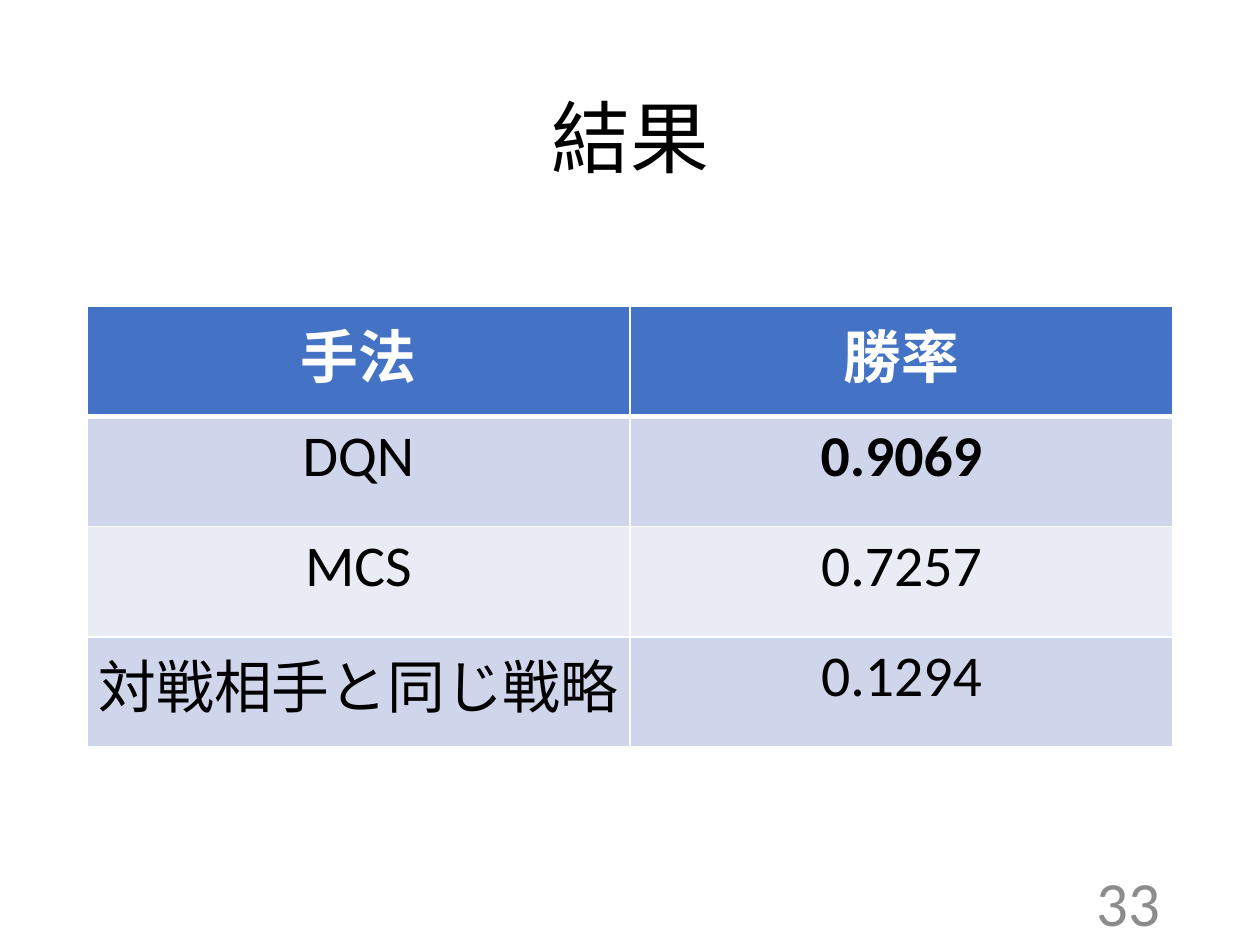
from dataclasses import dataclass

from lxml import etree
from pptx import Presentation
from pptx.dml.color import RGBColor
from pptx.enum.text import MSO_ANCHOR, PP_ALIGN
from pptx.oxml.ns import qn
from pptx.util import Inches, Pt


@dataclass(frozen=True)
class Theme:
    font: str = "Calibri"
    ink: str = "000000"
    white: str = "FFFFFF"
    gray: str = "8C8C8C"
    header: str = "4472C4"
    bands: tuple = ("CFD5EA", "E9EBF5")
    title_size: int = 45
    table_size: int = 33
    number_size: int = 36


T = Theme()


def write(tf, text, size, color, align, bold=False):
    p = tf.paragraphs[0]
    p.alignment = align
    r = p.add_run()
    r.text = text
    r.font.name = T.font
    r.font.size = Pt(size)
    r.font.bold = bold
    r.font.color.rgb = RGBColor.from_string(color)
    return p


def set_border(cell, side, width):
    tc_pr = cell._tc.get_or_add_tcPr()
    ln = etree.SubElement(tc_pr, qn(f"a:ln{side}"), w=str(Pt(width)))
    fill = etree.SubElement(ln, qn("a:solidFill"))
    etree.SubElement(fill, qn("a:srgbClr"), val=T.white)


prs = Presentation()
prs.slide_width, prs.slide_height = Inches(10), Inches(7.5)
s = prs.slides.add_slide(prs.slide_layouts[6])
left, width = 0.69, 8.62

# Title
tf = s.shapes.add_textbox(Inches(left), Inches(0.4), Inches(width), Inches(1.45)).text_frame
tf.word_wrap = True
tf.vertical_anchor = MSO_ANCHOR.MIDDLE
p = write(tf, "結果", T.title_size, T.ink, PP_ALIGN.CENTER)
p.line_spacing = 0.9

# Results table
rows = [
    ("手法", "勝率"),
    ("DQN", "0.9069"),
    ("MCS", "0.7257"),
    ("対戦相手と同じ戦略", "0.1294"),
]
best = "0.9069"
table = s.shapes.add_table(len(rows), 2, Inches(left), Inches(2.43),
                           Inches(width), Inches(3.5)).table
for i, row in enumerate(rows):
    is_header = i == 0
    for j, text in enumerate(row):
        cell = table.cell(i, j)
        cell.margin_left = cell.margin_right = Inches(0.07)
        cell.margin_top = cell.margin_bottom = Inches(0.04)
        write(cell.text_frame, text, T.table_size, T.white if is_header else T.ink,
              PP_ALIGN.CENTER, bold=is_header or text == best)
        # The rule between header and body is thicker
        for side in "LRTB":
            set_border(cell, side, 3 if (i, side) in ((0, "B"), (1, "T")) else 1)
        cell.fill.solid()
        fill = T.header if is_header else T.bands[(i - 1) % 2]
        cell.fill.fore_color.rgb = RGBColor.from_string(fill)

# Page number
tf = s.shapes.add_textbox(Inches(7.06), Inches(6.95), Inches(2.25), Inches(0.4)).text_frame
tf.word_wrap = True
tf.vertical_anchor = MSO_ANCHOR.MIDDLE
write(tf, "33", T.number_size, T.gray, PP_ALIGN.RIGHT)

prs.save("out.pptx")
